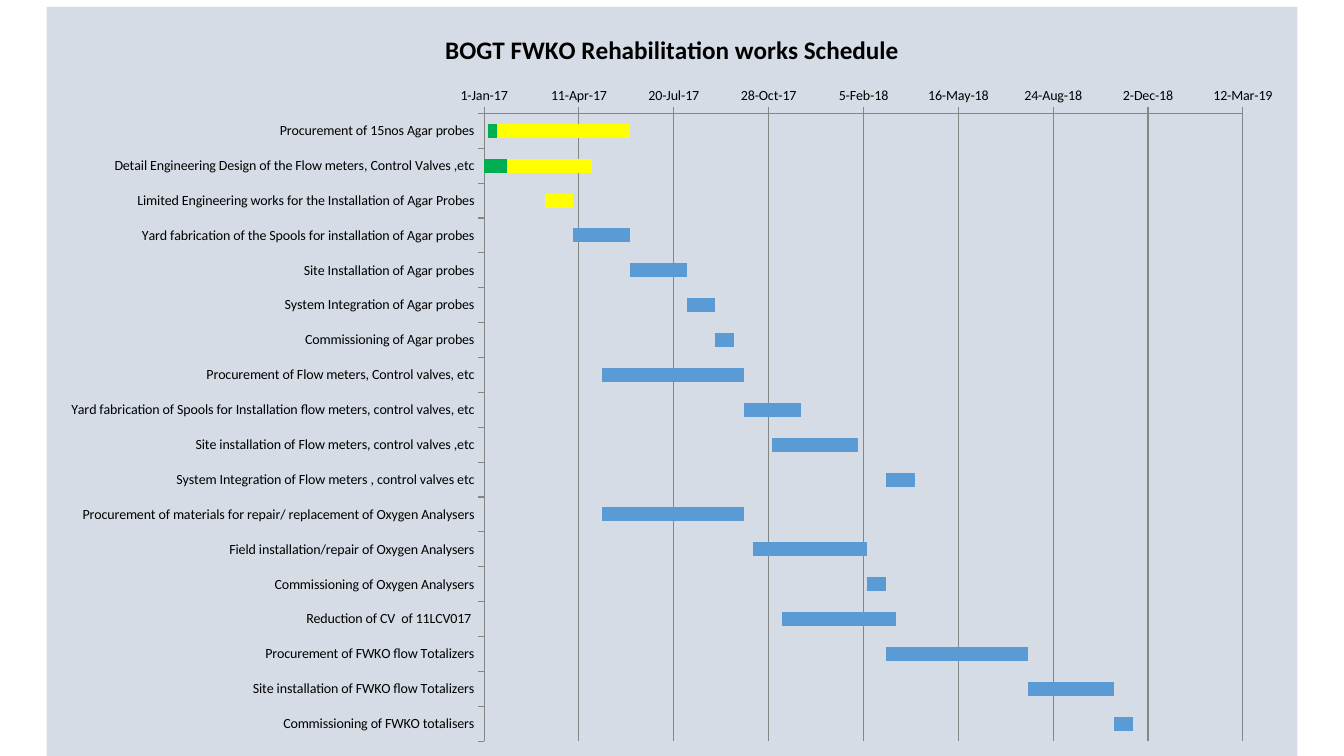
import pptx
import pptx.chart.data
import pptx.dml.color
import pptx.enum.chart
import pptx.oxml
import pptx.oxml.ns
import pptx.util

Pt = pptx.util.Pt
enum = pptx.enum.chart

TITLE = "BOGT FWKO Rehabilitation works Schedule"
# Task, start as a day number, days done, days left
TASKS = [
    ("Procurement of 15nos Agar probes", 42740, 10, 140),
    ("Detail Engineering Design of the Flow meters, Control Valves ,etc", 42700, 60, 90),
    ("Limited Engineering works for the Installation of Agar Probes", 42800, 0, 30),
    ("Yard fabrication of the Spools for installation of Agar probes", 42830, 0, 60),
    ("Site Installation of Agar probes", 42890, 0, 60),
    ("System Integration of Agar probes", 42950, 0, 30),
    ("Commissioning of Agar probes", 42980, 0, 20),
    ("Procurement of Flow meters, Control valves, etc", 42860, 0, 150),
    ("Yard fabrication of Spools for Installation flow meters, control valves, etc", 43010, 0, 60),
    ("Site installation of Flow meters, control valves ,etc", 43040, 0, 90),
    ("System Integration of Flow meters , control valves etc", 43160, 0, 30),
    ("Procurement of materials for repair/ replacement of Oxygen Analysers", 42860, 0, 150),
    ("Field installation/repair of Oxygen Analysers", 43020, 0, 120),
    ("Commissioning of Oxygen Analysers", 43140, 0, 20),
    ("Reduction of CV  of 11LCV017 ", 43050, 0, 120),
    ("Procurement of FWKO flow Totalizers", 43160, 0, 150),
    ("Site installation of FWKO flow Totalizers", 43310, 0, 90),
    ("Commissioning of FWKO totalisers", 43400, 0, 20),
]
ACTIVE = 3  # the first tasks are under way
FIRST, STEP, SPANS = 42736, 100, 8
DATES = r"[$-409]d\-mmm\-yy;@"

THEME = {
    "font": "Calibri", "text": "000000", "size": 10, "head": 18,
    "back": "D6DCE5", "line": "868686",
    "done": "00B050", "plan": "5B9BD5", "now": "FFFF00",
}
FRAME = (33.3, 5, 893.5, 535)
PLOT = (312.5, 76, 542, 448.5)  # inside the frame


def color(name):
    return pptx.dml.color.RGBColor.from_string(THEME[name])


def paint(fill, name):
    fill.solid()
    fill.fore_color.rgb = color(name)


def style(font, size, bold):
    font.name = THEME["font"]
    font.size = Pt(THEME[size])
    font.bold = bold
    font.color.rgb = color("text")


def rule(form):
    form.line.color.rgb = color("line")
    form.line.width = Pt(0.75)


def add_chart(slide):
    data = pptx.chart.data.CategoryChartData()
    names, starts, done, left = zip(*TASKS)
    data.categories = names
    for name, days in (("Start", starts), ("Done", done), ("Left", left)):
        data.add_series(name, days)
    box = [Pt(side) for side in FRAME]
    return slide.shapes.add_chart(enum.XL_CHART_TYPE.BAR_STACKED, *box, data).chart


def style_bars(plot):
    plot.gap_width, plot.overlap = 150, 100
    plot.vary_by_categories = False
    start, done, left = plot.series
    start.format.fill.background()
    paint(done.format.fill, "done")
    paint(left.format.fill, "plan")
    for row in range(ACTIVE):
        paint(left.points[row].format.fill, "now")


def style_axes(chart):
    tasks, dates = chart.category_axis, chart.value_axis
    tasks.reverse_order = True
    dates.minimum_scale = FIRST
    dates.maximum_scale = FIRST + STEP * SPANS
    dates.major_unit = STEP
    dates.has_major_gridlines = True
    rule(dates.major_gridlines.format)
    dates.tick_labels.number_format = DATES
    dates.tick_labels.number_format_is_linked = False
    for axis in (tasks, dates):
        axis.major_tick_mark = enum.XL_TICK_MARK.OUTSIDE
        axis.minor_tick_mark = enum.XL_TICK_MARK.NONE
        rule(axis.format)


def style_frame(chart):
    # Background of the whole chart
    space = chart.element
    names = pptx.oxml.ns.nsdecls("c", "a")
    back = pptx.oxml.parse_xml(
        f'<c:spPr {names}><a:solidFill><a:srgbClr val="{THEME["back"]}"/></a:solidFill>'
        "<a:ln><a:noFill/></a:ln></c:spPr>")
    space.find(pptx.oxml.ns.qn("c:chart")).addnext(back)
    # Fixed place of the bars, as shares of the frame
    area = space.find(".//" + pptx.oxml.ns.qn("c:plotArea"))
    for old in area.findall(pptx.oxml.ns.qn("c:layout")):
        area.remove(old)
    wide, high = FRAME[2:]
    modes = "".join(f'<c:{key}Mode val="edge"/>' for key in "xy")
    sides = "".join(f'<c:{key} val="{part / full}"/>'
                    for key, part, full in zip("xywh", PLOT, (wide, high, wide, high)))
    area.insert(0, pptx.oxml.parse_xml(
        f'<c:layout {names}><c:manualLayout><c:layoutTarget val="inner"/>'
        f"{modes}{sides}</c:manualLayout></c:layout>"))


def main():
    deck = pptx.Presentation()
    deck.slide_width, deck.slide_height = Pt(960), Pt(540)
    slide = deck.slides.add_slide(deck.slide_layouts[6])
    chart = add_chart(slide)
    chart.has_legend = False
    style_frame(chart)
    style(chart.font, "size", False)
    style_bars(chart.plots[0])
    style_axes(chart)
    # Chart title
    chart.has_title = True
    text = chart.chart_title.text_frame
    text.text = TITLE
    style(text.paragraphs[0].font, "head", True)
    chart.chart_title.include_in_layout = False
    deck.save("out.pptx")


if __name__ == "__main__":
    main()
